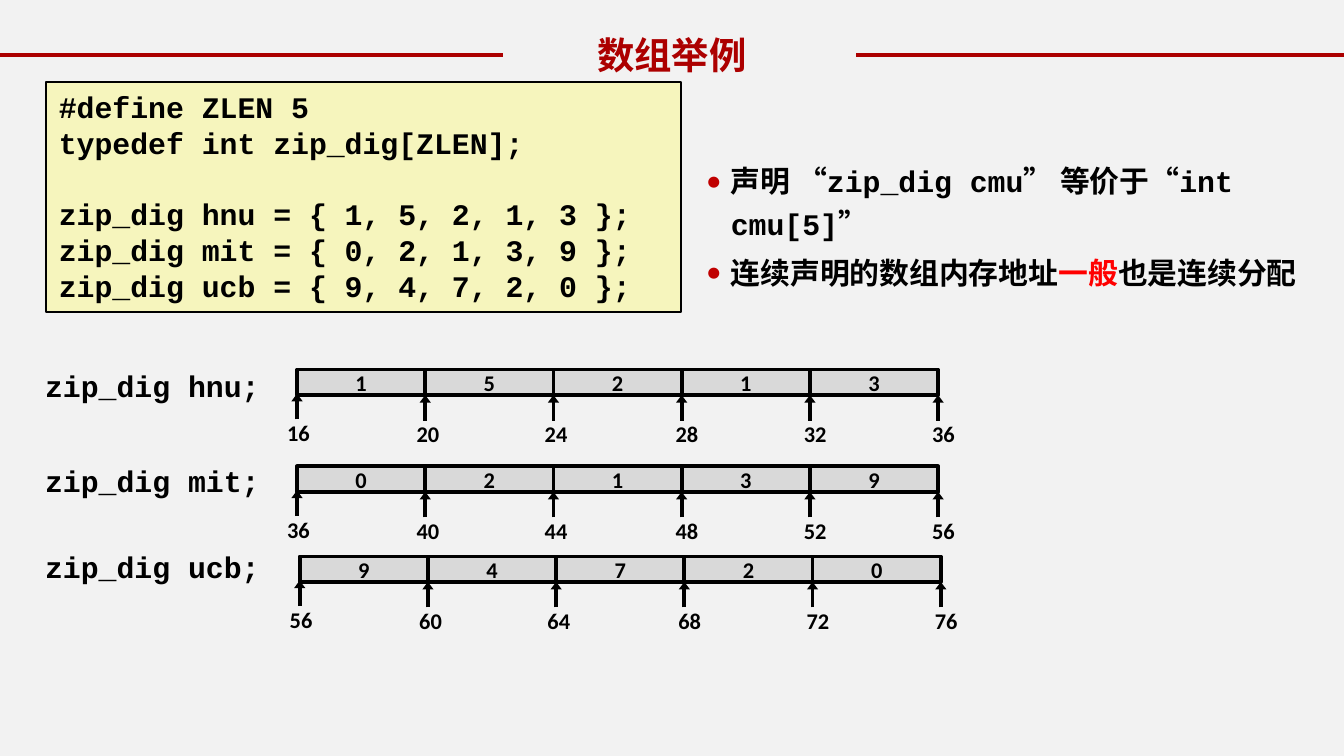
from lxml import etree
from pptx import Presentation
from pptx.dml.color import RGBColor
from pptx.enum.shapes import MSO_CONNECTOR, MSO_SHAPE
from pptx.enum.text import MSO_ANCHOR, PP_ALIGN
from pptx.oxml.ns import qn
from pptx.util import Inches, Pt

STRAIGHT, RECT = MSO_CONNECTOR.STRAIGHT, MSO_SHAPE.RECTANGLE
LEFT, CENTER, RIGHT = PP_ALIGN.LEFT, PP_ALIGN.CENTER, PP_ALIGN.RIGHT
TOP, MIDDLE = MSO_ANCHOR.TOP, MSO_ANCHOR.MIDDLE

COLORS = {
    "background": "F2F2F2", "title": "AC0000", "code": "F6F5BD",
    "cell": "D9D9D9", "ink": "000000", "bullet": "C00000", "stress": "FF0000",
}
BODY, CODE, CJK = "Calibri", "Courier New", "Noto Sans CJK SC"

# Content
TITLE = "数组举例"
CODE_BLOCKS = [
    ["#define ZLEN 5", "typedef int zip_dig[ZLEN];"],
    ["zip_dig hnu = { 1, 5, 2, 1, 3 };",
     "zip_dig mit = { 0, 2, 1, 3, 9 };",
     "zip_dig ucb = { 9, 4, 7, 2, 0 };"],
]
POINTS = [
    [("声明 “", BODY, "ink"), ("zip_dig cmu", CODE, "ink"),
     ("” 等价于“", BODY, "ink"), ("int cmu[5]", CODE, "ink"), ("”", BODY, "ink")],
    [("连续声明的数组内存地址", BODY, "ink"), ("一般", BODY, "stress"),
     ("也是连续分配", BODY, "ink")],
]
# declaration, digits, first address, array left, array top, label top
ARRAYS = [
    ("zip_dig hnu;", [1, 5, 2, 1, 3], 16, 2.21, 2.75, 2.69),
    ("zip_dig mit;", [0, 2, 1, 3, 9], 36, 2.21, 3.47, 3.39),
    ("zip_dig ucb;", [9, 4, 7, 2, 0], 56, 2.23, 4.14, 4.03),
]
INT_BYTES = 4
CELL_W, CELL_H = 4.77 / 5, 0.19
TITLE_RULES = [(0, 3.74), (6.37, 10)]


def rgb(name):
    return RGBColor.from_string(COLORS[name])


def add_run(paragraph, text, size, font=BODY, color="ink"):
    run = paragraph.add_run()
    run.text = text
    run.font.size, run.font.bold, run.font.name = Pt(size), True, font
    run.font.color.rgb = rgb(color)
    east_asian = etree.Element(qn("a:ea"), typeface=CJK)
    run.font._element.find(qn("a:latin")).addnext(east_asian)


def add_text(parent, box, text, size, font=BODY, color="ink", align=CENTER):
    frame = parent.add_textbox(*map(Inches, box)).text_frame
    frame.word_wrap = True
    frame.paragraphs[0].alignment = align
    add_run(frame.paragraphs[0], text, size, font, color)


def add_box(parent, box, fill, line_width):
    shape = parent.add_shape(RECT, *map(Inches, box))
    shape.shadow.inherit = False
    shape.fill.solid()
    shape.fill.fore_color.rgb = rgb(fill)
    shape.line.color.rgb = rgb("ink")
    shape.line.width = Pt(line_width)
    return shape.text_frame


def add_line(parent, x1, y1, x2, y2, color, arrow=False):
    line = parent.add_connector(STRAIGHT, *map(Inches, (x1, y1, x2, y2)))
    line.line.color.rgb = rgb(color)
    line.line.width = Pt(2)
    if arrow:
        etree.SubElement(line.line._get_or_add_ln(), qn("a:tailEnd"),
                         type="triangle", w="med", len="sm")
    etree.SubElement(line._element.spPr, qn("a:effectLst"))


def add_bullet(paragraph):
    props = paragraph._p.get_or_add_pPr()
    props.set("marL", str(Inches(0.18)))
    props.set("indent", str(Inches(-0.18)))
    color = etree.SubElement(props, qn("a:buClr"))
    etree.SubElement(color, qn("a:srgbClr"), val=COLORS["bullet"])
    etree.SubElement(props, qn("a:buSzPct"), val="80000")
    etree.SubElement(props, qn("a:buFont"), typeface=BODY)
    etree.SubElement(props, qn("a:buChar"), char="●")


def add_array(shapes, digits, first_address, left, top):
    group = shapes.add_group_shape().shapes
    for i, digit in enumerate(digits):
        frame = add_box(group, (left + i * CELL_W, top, CELL_W, CELL_H), "cell", 2)
        frame.word_wrap = False
        frame.vertical_anchor = MIDDLE
        frame.margin_top = frame.margin_bottom = 0
        frame.paragraphs[0].alignment = CENTER
        add_run(frame.paragraphs[0], str(digit), 12)

    # One address under every cell boundary, the first slightly higher
    for i in range(len(digits) + 1):
        x = left + i * CELL_W
        y = top + (0.19 if i else 0.18)
        add_line(group, x, y + 0.19, x, y, "ink", arrow=True)
        center = x + (0.01, 0.02, 0.02, 0.04, 0.04, 0.04)[i]
        width = 1.03 if i else 0.7
        add_text(group, (center - width / 2, y + 0.14, width, 0.23),
                 str(first_address + i * INT_BYTES), 12)


prs = Presentation()
prs.slide_width = Inches(10)
prs.slide_height = prs.slide_width * 9 // 16
slide = prs.slides.add_slide(prs.slide_layouts[6])
slide.background.fill.solid()
slide.background.fill.fore_color.rgb = rgb("background")
shapes = slide.shapes

# Title between two rules
for start, end in TITLE_RULES:
    add_line(shapes, start, 0.41, end, 0.41, "title")
add_text(shapes, (4.17, 0.19, 1.66, 0.44), TITLE, 20, CJK, "title")

# Code listing, with one line of space between its blocks
code = add_box(shapes, (0.34, 0.61, 4.73, 1.71), "code", 1)
code.word_wrap = True
code.vertical_anchor = TOP
for b, block in enumerate(CODE_BLOCKS):
    for n, code_line in enumerate(block):
        paragraph = code.add_paragraph() if b or n else code.paragraphs[0]
        paragraph.alignment = LEFT
        if b and n == 0:
            paragraph.space_before = Pt(19.2)
        add_run(paragraph, code_line, 16, CODE)

# Arrays in memory
for declaration, digits, first_address, left, top, label_top in ARRAYS:
    add_text(shapes, (-0.41, label_top, 2.44, 0.37), declaration, 16, CODE, align=RIGHT)
    add_array(shapes, digits, first_address, left, top)

# Bullet points
points = shapes.add_textbox(*map(Inches, (5.16, 1.11, 4.84, 0.9))).text_frame
points.word_wrap = True
for n, point in enumerate(POINTS):
    paragraph = points.add_paragraph() if n else points.paragraphs[0]
    paragraph.line_spacing = 1.2
    paragraph.space_before = Pt(3.2)
    add_bullet(paragraph)
    for text, font, color in point:
        add_run(paragraph, text, 16, font, color)

prs.save("out.pptx")
